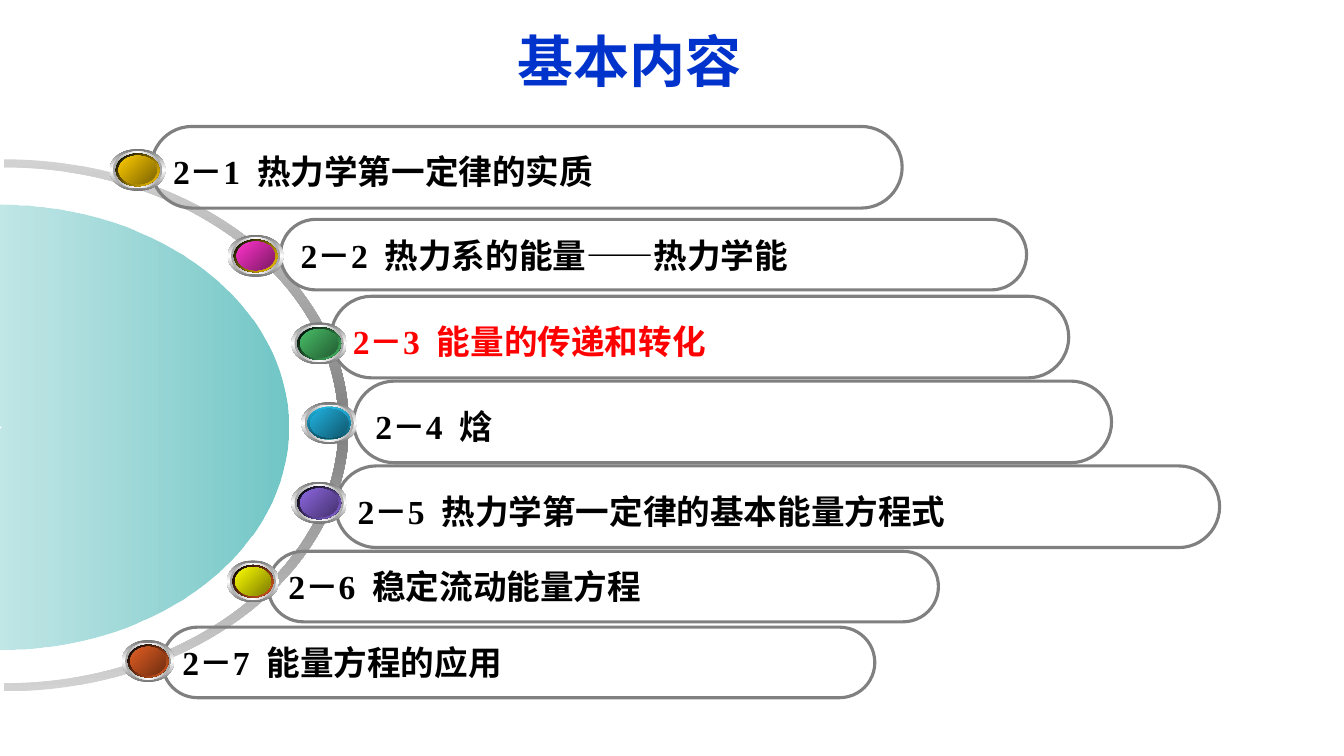
from dataclasses import dataclass

from lxml import etree
from pptx import Presentation
from pptx.dml.color import RGBColor
from pptx.enum import shapes, text
from pptx.oxml.ns import qn
from pptx.util import Pt


@dataclass(frozen=True)
class Theme:
    title: str = "0033CC"
    body: str = "000000"
    current: str = "FF0000"
    outline: str = "808080"
    arc: tuple = ("D2D2D2", "808080", "D2D2D2")
    disc: tuple = ("009999", "FFFFFF")
    disc_alpha: tuple = (56, 48)
    rim_outer: tuple = ("767676", "FFFFFF", "767676")
    rim_inner: tuple = ("A2A2A2", "FFFFFF", "A2A2A2")
    glow: tuple = ("FFFFFF", "009999", "FFFFFF")
    base: tuple = ("007575", "009999", "007575")
    title_font: str = "Arial"
    body_font: str = "Times New Roman"
    title_size: float = 40
    body_size: float = 24
    line: float = 2.25


@dataclass(frozen=True)
class Bead:
    left: float
    top: float
    rim: tuple
    face: tuple
    width: float = 40
    rim_angle: int = 45
    height: float = 30


@dataclass(frozen=True)
class Chapter:
    label: str
    left: float
    top: float
    width: float
    bead: Bead
    tall: bool = False
    current: bool = False


@dataclass(frozen=True)
class Frame:
    left: float
    top: float
    width: float
    height: float


THEME = Theme()
TALL, SHORT = 58.3, 50.4
CURVE = 0.55  # control-point ratio for a quarter ellipse

CHAPTERS = [
    Chapter("2－1  热力学第一定律的实质", 108, 90.3, 536.4,
            Bead(78.3, 106.4, ("000000", "FFCC00"), ("FFCC00", "7C6300")), tall=True),
    Chapter("2－2  热力系的能量——热力学能", 200.3, 156.7, 533,
            Bead(162.6, 167.8, ("000000", "FFCC00"), ("FF33CC", "7C1963"))),
    Chapter("2－3  能量的传递和转化", 236.4, 211.6, 527,
            Bead(208, 230.3, ("000000", "48BE67"), ("48BE67", "235C32")),
            tall=True, current=True),
    Chapter("2－4  焓", 252.6, 272.2, 541.4,
            Bead(215.2, 287.2, ("21B3E1", "0F5368"), ("21B3E1", "10576D"), rim_angle=90),
            tall=True),
    Chapter("2－5  热力学第一定律的基本能量方程式", 239.8, 332.8, 631.4,
            Bead(208, 344.2, ("000000", "8D67E1"), ("8D67E1", "45326D")), tall=True),
    Chapter("2－6  稳定流动能量方程", 191.5, 393.8, 478.8,
            Bead(162, 400.3, ("000000", "E35E23"), ("FFFF00", "7C7C00"), 37.4)),
    Chapter("2－7  能量方程的应用", 115.9, 448, 509,
            Bead(87.1, 457.2, ("000000", "E35E23"), ("E35E23", "6E2E11"), 37.4)),
]


def set_gradient(sp, colors: tuple, angle: int, alphas: tuple = ()) -> None:
    """Fill with evenly spaced stops; the angle runs clockwise in degrees."""
    sp.fill.gradient()
    grad = sp.element.spPr.find(qn("a:gradFill"))
    stops = grad.find(qn("a:gsLst"))
    for stop in list(stops):
        stops.remove(stop)
    for i, color in enumerate(colors):
        position = 100000 * i // (len(colors) - 1)
        stop = etree.SubElement(stops, qn("a:gs"), pos=str(position))
        rgb = etree.SubElement(stop, qn("a:srgbClr"), val=color)
        if alphas:
            etree.SubElement(rgb, qn("a:alpha"), val=str(alphas[i] * 1000))
    grad.find(qn("a:lin")).set("ang", str(angle * 60000))


def add_text(tf, content: str, *, font: str, size: float, color: str,
             align, anchor, spacing: float = 1.0) -> None:
    tf.word_wrap = True
    tf.auto_size = text.MSO_AUTO_SIZE.SHAPE_TO_FIT_TEXT
    tf.vertical_anchor = anchor
    p = tf.paragraphs[0]
    p.alignment = align
    p.line_spacing = spacing
    r = p.add_run()
    r.text = content
    r.font.name, r.font.size, r.font.bold = font, Pt(size), True
    r.font.color.rgb = RGBColor.from_string(color)


def half_ellipse(x: float, y: float, rx: float, ry: float) -> list:
    """Bezier points of the right half, from top to bottom."""
    kx, ky = CURVE * rx, CURVE * ry
    return [(x, y - ry), (x + kx, y - ry), (x + rx, y - ky), (x + rx, y),
            (x + rx, y + ky), (x + kx, y + ry), (x, y + ry)]


def add_half_ring(s, frame: Frame, first: list, second: list):
    """Draw first, then second, as one curved outline in a frame turned by 90 degrees."""
    right = frame.left + (frame.width + frame.height) / 2
    top = frame.top + (frame.height - frame.width) / 2
    first, second = ([(Pt(y - top), Pt(right - x)) for x, y in half]
                     for half in (first, second))
    builder = s.shapes.build_freeform(*first[0])
    builder.add_line_segments(first[1:] + second, close=True)
    sp = builder.convert_to_shape()
    sp.left, sp.top = Pt(frame.left), Pt(frame.top)
    sp.width, sp.height = Pt(frame.width), Pt(frame.height)
    sp.rotation = 90
    sp.shadow.inherit = False
    sp.line.fill.background()

    # Replace the straight segments with Bezier curves
    outline = next(sp.element.iter(qn("a:path")))
    for node in list(outline):
        outline.remove(node)
    outline.set("w", str(sp.width))
    outline.set("h", str(sp.height))
    segments = [("moveTo", first[:1]), ("cubicBezTo", first[1:4]), ("cubicBezTo", first[4:]),
                ("lnTo", second[:1]), ("cubicBezTo", second[1:4]), ("cubicBezTo", second[4:]),
                ("close", [])]
    for tag, points in segments:
        node = etree.SubElement(outline, qn(f"a:{tag}"))
        for x, y in points:
            etree.SubElement(node, qn("a:pt"), x=str(x), y=str(y))
    return sp


def add_preset(parent, kind, left: float, top: float, width: float, height: float):
    sp = parent.shapes.add_shape(kind, Pt(left), Pt(top), Pt(width), Pt(height))
    sp.shadow.inherit = False
    return sp


def add_bead(s, bead: Bead) -> None:
    group = s.shapes.add_group_shape()
    layers = [(0, THEME.rim_outer, 90), (0.06, THEME.rim_inner, 0),
              (0.11, THEME.glow, 45), (0.11, bead.rim, bead.rim_angle),
              (0.16, THEME.base, 315), (0.16, bead.face, 45)]
    for inset, colors, angle in layers:
        scale = 1 - 2 * inset
        sp = add_preset(group, shapes.MSO_SHAPE.OVAL,
                        bead.left + inset * bead.width, bead.top + inset * bead.height,
                        scale * bead.width, scale * bead.height)
        sp.line.fill.background()
        set_gradient(sp, colors, angle)


def add_chapter(s, chapter: Chapter) -> None:
    sp = add_preset(s, shapes.MSO_SHAPE.ROUNDED_RECTANGLE, chapter.left, chapter.top,
                    chapter.width, TALL if chapter.tall else SHORT)
    sp.adjustments[0] = 0.5
    sp.fill.background()
    sp.line.color.rgb = RGBColor.from_string(THEME.outline)
    sp.line.width = Pt(THEME.line)
    add_text(sp.text_frame, chapter.label, font=THEME.body_font, size=THEME.body_size,
             color=THEME.current if chapter.current else THEME.body,
             align=text.PP_ALIGN.LEFT, anchor=text.MSO_ANCHOR.MIDDLE,
             spacing=1.2 if chapter.tall else 1.0)
    add_bead(s, chapter.bead)


prs = Presentation()
prs.slide_width, prs.slide_height = Pt(960), Pt(540)
s = prs.slides.add_slide(prs.slide_layouts[5])

# Title
title = s.shapes.title
title.left, title.top, title.width, title.height = Pt(139.8), Pt(15.1), Pt(619.4), Pt(55.4)
add_text(title.text_frame, "基本内容", font=THEME.title_font, size=THEME.title_size,
         color=THEME.title, align=text.PP_ALIGN.CENTER, anchor=text.MSO_ANCHOR.BOTTOM)

# Grey arc and teal half disc with its small hub
arc = add_half_ring(s, Frame(-190.8, 53.5, 380.2, 500.4),
                    half_ellipse(2.9, 303.8, 239, 184.3),
                    half_ellipse(2.9, 303.8, 246.2, 190)[::-1])
set_gradient(arc, THEME.arc, 0)
disc = add_half_ring(s, Frame(-159.1, 98.6, 317.5, 412.6),
                     half_ellipse(0, 305.1, 0.7, 0.7)[::-1],
                     half_ellipse(0, 304.9, 205.9, 158.8))
set_gradient(disc, THEME.disc, 90, THEME.disc_alpha)

# Chapters with their beads
for chapter in CHAPTERS:
    add_chapter(s, chapter)

prs.save("out.pptx")
